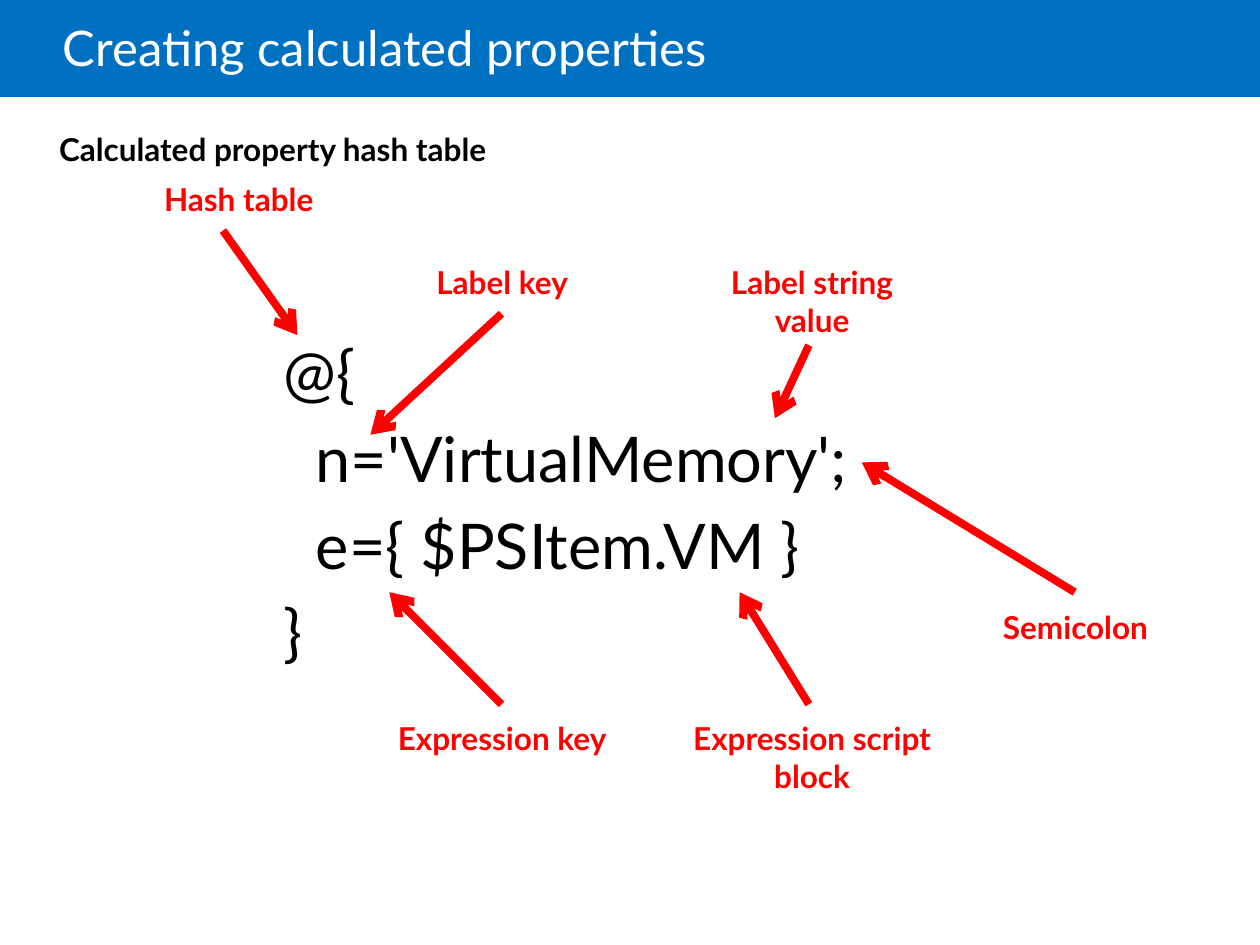
from dataclasses import dataclass

from lxml.etree import SubElement
from pptx import Presentation
from pptx.dml.color import RGBColor
from pptx.enum.shapes import MSO_CONNECTOR as Connector, MSO_SHAPE as Shape
from pptx.enum.text import MSO_ANCHOR as Anchor, PP_ALIGN as Align
from pptx.oxml.ns import qn
from pptx.util import Inches, Pt


@dataclass(frozen=True)
class Theme:
    font: str = "Lato"
    banner: RGBColor = RGBColor(0x00, 0x70, 0xC0)
    title: RGBColor = RGBColor(0xFF, 0xFF, 0xFF)
    ink: RGBColor = RGBColor(0x00, 0x00, 0x00)
    accent: RGBColor = RGBColor(0xFF, 0x00, 0x00)
    title_size: int = 28
    code_size: int = 36
    label_size: int = 18
    arrow_width: float = 4.5


THEME = Theme()
LABEL_WIDTH = 2.09

CODE = ["@{", "  n='VirtualMemory';", "  e={ $PSItem.VM }", "}"]

CALLOUTS = [
    ("Hash table", (0.85, 1.38), 0.4, (1.77, 1.83), (2.36, 2.66)),
    ("Label key", (2.94, 2.04), 0.4, (3.98, 2.49), (2.94, 3.45)),
    ("Label string value", (5.4, 2.04), 0.71, (6.42, 2.74), (6.15, 3.32)),
    ("Expression key", (2.94, 5.66), 0.4, (3.98, 5.59), (3.09, 4.7)),
    ("Expression script block", (5.4, 5.66), 0.71, (6.42, 5.59), (5.87, 4.7)),
    ("Semicolon", (7.49, 4.78), 0.4, (8.53, 4.7), (6.84, 3.67)),
]


def add_banner(slide):
    banner = slide.shapes.add_shape(Shape.RECTANGLE, 0, 0, Inches(10), Inches(0.77))
    banner.shadow.inherit = False
    banner.fill.solid()
    banner.fill.fore_color.rgb = THEME.banner
    banner.line.fill.background()


def add_text(slide, box, lines, size, color, bold=False, align=Align.LEFT):
    shape = slide.shapes.add_textbox(*map(Inches, box))
    frame = shape.text_frame
    frame.word_wrap = True
    frame.text = "\n".join(lines)
    for paragraph in frame.paragraphs:
        paragraph.alignment = align
        paragraph.font.name = THEME.font
        paragraph.font.size = Pt(size)
        paragraph.font.bold = bold
        paragraph.font.color.rgb = color
    return frame


def add_title(slide, text):
    frame = add_text(slide, (0.5, 0, 8.5, 0.81), [text], THEME.title_size, THEME.title)
    frame.margin_left = 0
    frame.vertical_anchor = Anchor.MIDDLE
    frame.paragraphs[0].line_spacing = 0.85


def add_code(slide, lines):
    frame = add_text(slide, (2.25, 2.65, 5.71, 2.9), lines, THEME.code_size, THEME.ink)
    frame.margin_left = frame.margin_right = 0
    frame.margin_top = frame.margin_bottom = 0
    for paragraph in frame.paragraphs[1:]:
        paragraph.space_before = Pt(6)


def add_arrow(slide, start, end):
    arrow = slide.shapes.add_connector(Connector.STRAIGHT, *map(Inches, start + end))
    arrow.line.color.rgb = THEME.accent
    arrow.line.width = Pt(THEME.arrow_width)
    SubElement(arrow.line._get_or_add_ln(), qn("a:tailEnd"), type="arrow")
    SubElement(arrow._element.spPr, qn("a:effectLst"))


def add_callout(slide, text, position, height, start, end):
    box = (*position, LABEL_WIDTH, height)
    add_text(slide, box, [text], THEME.label_size, THEME.accent, True, Align.CENTER)
    add_arrow(slide, start, end)


def main():
    presentation = Presentation()
    presentation.slide_width = Inches(10)
    presentation.slide_height = Inches(7.5)
    slide = presentation.slides.add_slide(presentation.slide_layouts[6])
    add_banner(slide)
    add_title(slide, "Creating calculated properties")
    add_code(slide, CODE)
    for callout in CALLOUTS:
        add_callout(slide, *callout)
    heading = ["Calculated property hash table"]
    add_text(slide, (0.37, 0.98, 6.32, 0.4), heading, THEME.label_size, THEME.ink, True)
    presentation.save("out.pptx")


if __name__ == "__main__":
    main()
